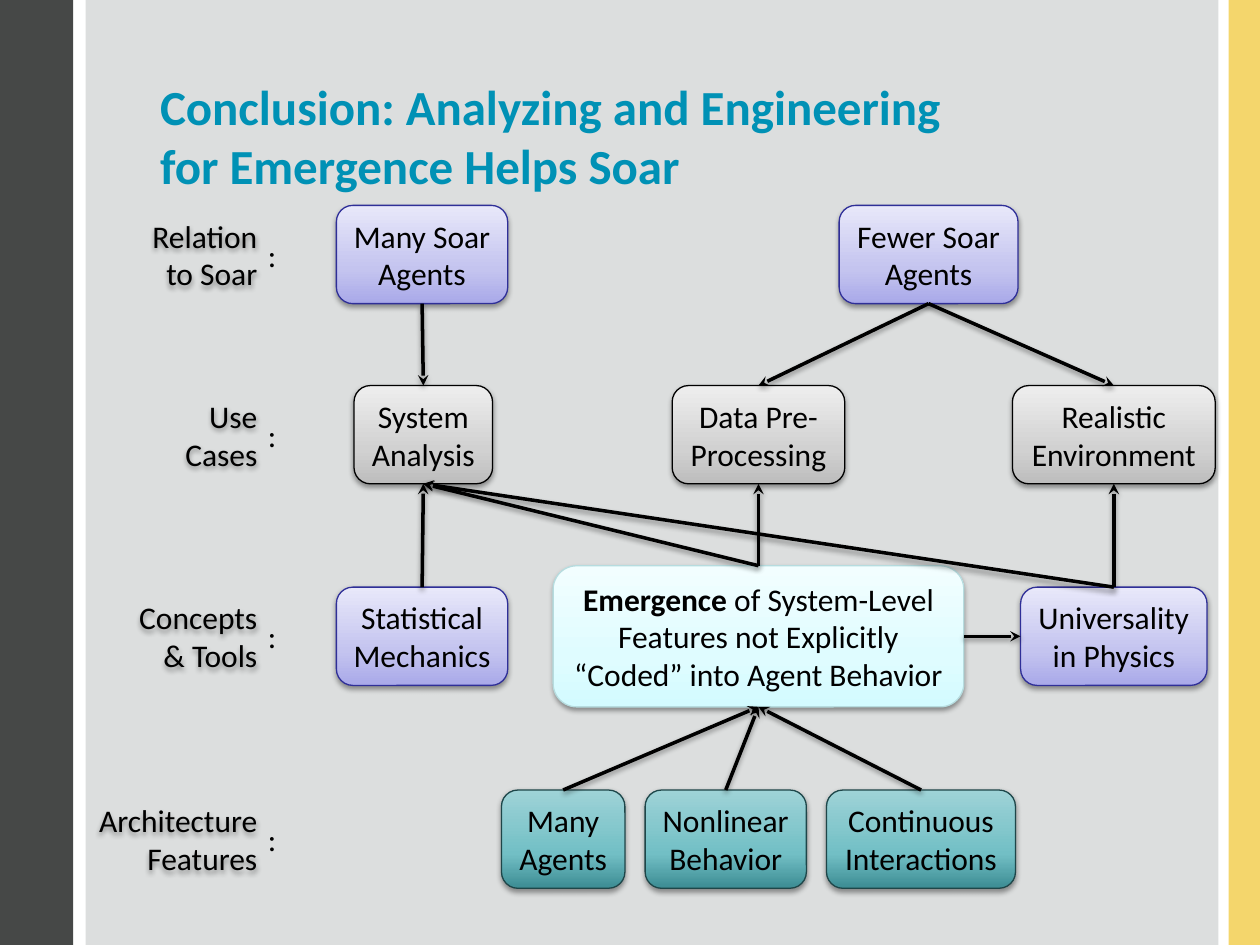
from dataclasses import dataclass

from lxml.etree import SubElement
from pptx import Presentation
from pptx.dml.color import RGBColor
from pptx.enum.shapes import MSO_CONNECTOR, MSO_SHAPE
from pptx.enum.text import MSO_ANCHOR, MSO_AUTO_SIZE, PP_ALIGN
from pptx.oxml import parse_xml
from pptx.oxml.ns import nsdecls, qn
from pptx.util import Inches, Pt

TOP, LEFT, BOTTOM, RIGHT = range(4)


@dataclass(frozen=True)
class Style:
    stops: tuple[str, str, str]  # bottom, 35 %, top
    outline: str


@dataclass(frozen=True)
class Theme:
    font: str = "Calibri"
    title_size: int = 28
    body_size: int = 18
    title: str = "0091B5"
    ink: str = "000000"
    dark_band: str = "464847"
    gold_band: str = "F4D66C"
    panel: str = "DCDEDE"
    violet: Style = Style(("A9A9E9", "C4C4EF", "E8E8FA"), "2F2F98")
    grey: Style = Style(("BDBDBD", "D1D1D1", "EEEEEE"), "000000")
    teal: Style = Style(("3C8C93", "72BFC5", "9ED3D7"), "1E4649")
    ice: Style = Style(("D3FBFF", "DFFCFF", "F2FEFF"), "B6DCDF")


THEME = Theme()


@dataclass(frozen=True)
class Row:
    label: str
    middle: float
    label_width: float


@dataclass(frozen=True)
class Node:
    text: str
    row: Row
    center: float
    width: float
    style: Style
    height: float = 0.78
    bold_lead: str = ""


@dataclass(frozen=True)
class Arrow:
    start: str
    start_side: int
    end: str
    end_side: int


RELATION = Row("Relation\nto Soar", 2.02, 1.13)
USES = Row("Use\nCases", 3.45, 0.85)
CONCEPTS = Row("Concepts\n& Tools", 5.05, 1.23)
FEATURES = Row("Architecture\nFeatures", 6.66, 1.55)
ROWS = (RELATION, USES, CONCEPTS, FEATURES)

NODES = {
    "many soar": Node("Many Soar\nAgents", RELATION, 3.35, 1.36, THEME.violet),
    "fewer soar": Node("Fewer Soar\nAgents", RELATION, 7.37, 1.42, THEME.violet),
    "analysis": Node("System\nAnalysis", USES, 3.36, 1.1, THEME.grey),
    "data": Node("Data Pre-\nProcessing", USES, 6.02, 1.37, THEME.grey),
    "realistic": Node("Realistic\nEnvironment", USES, 8.84, 1.61, THEME.grey),
    "statistics": Node("Statistical\nMechanics", CONCEPTS, 3.35, 1.36, THEME.violet),
    "emergence": Node(
        " of System-Level\nFeatures not Explicitly\n“Coded” into Agent Behavior",
        CONCEPTS, 6.02, 3.26, THEME.ice, 1.12, "Emergence"),
    "universality": Node("Universality\nin Physics", CONCEPTS, 8.84, 1.48, THEME.violet),
    "many": Node("Many\nAgents", FEATURES, 4.47, 0.98, THEME.teal),
    "nonlinear": Node("Nonlinear\nBehavior", FEATURES, 5.76, 1.28, THEME.teal),
    "continuous": Node("Continuous\nInteractions", FEATURES, 7.31, 1.5, THEME.teal),
}

ARROWS = (
    Arrow("many", TOP, "emergence", BOTTOM),
    Arrow("nonlinear", TOP, "emergence", BOTTOM),
    Arrow("continuous", TOP, "emergence", BOTTOM),
    Arrow("statistics", TOP, "analysis", BOTTOM),
    Arrow("emergence", TOP, "analysis", BOTTOM),
    Arrow("universality", TOP, "analysis", BOTTOM),
    Arrow("emergence", RIGHT, "universality", LEFT),
    Arrow("emergence", TOP, "data", BOTTOM),
    Arrow("universality", TOP, "realistic", BOTTOM),
    Arrow("many soar", BOTTOM, "analysis", TOP),
    Arrow("fewer soar", BOTTOM, "realistic", TOP),
    Arrow("fewer soar", BOTTOM, "data", TOP),
)


def color(value: str) -> RGBColor:
    return RGBColor.from_string(value)


def add_shadow(properties) -> None:
    """Append a soft downward shadow to a shape's or connector's spPr."""
    properties.append(parse_xml(
        f'<a:effectLst {nsdecls("a")}><a:outerShdw blurRad="{Pt(3.1)}" dist="{Pt(1.6)}" '
        'dir="5400000" rotWithShape="0"><a:srgbClr val="000000"><a:alpha val="38000"/>'
        '</a:srgbClr></a:outerShdw></a:effectLst>'))


def fill_gradient(shape, style: Style) -> None:
    stops = "".join(
        f'<a:gs pos="{position}"><a:srgbClr val="{value}"/></a:gs>'
        for position, value in zip((0, 35000, 100000), style.stops))
    shape._element.spPr.append(parse_xml(
        f'<a:gradFill rotWithShape="1" {nsdecls("a")}><a:gsLst>{stops}</a:gsLst>'
        '<a:lin ang="16200000" scaled="0"/></a:gradFill>'))


def add_text(para, text: str, size: int, ink: str, bold: bool = False) -> None:
    for index, line in enumerate(text.split("\n")):
        if index:
            para.add_line_break()
        span = para.add_run()
        span.text = line
        span.font.name = THEME.font
        span.font.size = Pt(size)
        span.font.bold = bold
        span.font.color.rgb = color(ink)


def add_rounded_box(shapes, left: float, middle: float, width: float, height: float,
                    text: str, align: PP_ALIGN, style: Style | None = None,
                    bold_lead: str = "", shadow: bool = True):
    box = shapes.add_shape(MSO_SHAPE.ROUNDED_RECTANGLE, Inches(left),
                           Inches(middle - height / 2), Inches(width), Inches(height))
    if style:
        fill_gradient(box, style)
        box.line.color.rgb = color(style.outline)
        box.line.width = Pt(0.75)
    else:
        box.fill.background()
        box.line.fill.background()
    if shadow:
        add_shadow(box._element.spPr)
    else:
        box.shadow.inherit = False
    frame = box.text_frame
    frame.word_wrap = False
    frame.auto_size = MSO_AUTO_SIZE.SHAPE_TO_FIT_TEXT
    para = frame.paragraphs[0]
    para.alignment = align
    if bold_lead:
        add_text(para, bold_lead, THEME.body_size, THEME.ink, bold=True)
    add_text(para, text, THEME.body_size, THEME.ink)
    return box


def add_row_label(page, row: Row) -> None:
    group = page.shapes.add_group_shape()
    add_rounded_box(group.shapes, 2.18 - row.label_width, row.middle, row.label_width,
                    0.78, row.label, PP_ALIGN.RIGHT)
    add_rounded_box(group.shapes, 2.01, row.middle, 0.3, 0.43, ":",
                    PP_ALIGN.CENTER, shadow=False)


def add_arrow(page, arrow: Arrow, boxes: dict) -> None:
    line = page.shapes.add_connector(MSO_CONNECTOR.STRAIGHT, 0, 0, 0, 0)
    line.begin_connect(boxes[arrow.start], arrow.start_side)
    line.end_connect(boxes[arrow.end], arrow.end_side)
    line.line.color.rgb = color(THEME.ink)
    line.line.width = Pt(2)
    SubElement(line.line._get_or_add_ln(), qn("a:tailEnd"), type="stealth")
    add_shadow(line._element.spPr)


def add_band(page, left: float, width: float, fill: str) -> None:
    band = page.shapes.add_shape(MSO_SHAPE.RECTANGLE, Inches(left), 0,
                                 Inches(width), Inches(7.5))
    band.shadow.inherit = False
    band.fill.solid()
    band.fill.fore_color.rgb = color(fill)
    band.line.fill.background()


def place_title(page, text: str) -> None:
    title = page.shapes.title
    page.shapes._spTree.append(title._element)  # in front of the bands
    title.left, title.top = Inches(1.17), Inches(0.92)
    title.width, title.height = Inches(8.08), Inches(0.67)
    frame = title.text_frame
    frame.word_wrap = True
    frame.auto_size = MSO_AUTO_SIZE.NONE
    frame.vertical_anchor = MSO_ANCHOR.BOTTOM
    para = frame.paragraphs[0]
    para.alignment = PP_ALIGN.LEFT
    add_text(para, text, THEME.title_size, THEME.title, bold=True)


def main() -> None:
    deck = Presentation()
    deck.slide_width, deck.slide_height = Inches(10), Inches(7.5)
    page = deck.slides.add_slide(deck.slide_layouts.get_by_name("Title Only"))
    add_band(page, 0, 0.58, THEME.dark_band)
    add_band(page, 9.75, 0.25, THEME.gold_band)
    add_band(page, 0.68, 8.99, THEME.panel)
    place_title(page, "Conclusion: Analyzing and Engineering\nfor Emergence Helps Soar")
    for row in ROWS:
        add_row_label(page, row)
    boxes = {
        name: add_rounded_box(page.shapes, node.center - node.width / 2, node.row.middle,
                              node.width, node.height, node.text, PP_ALIGN.CENTER,
                              node.style, node.bold_lead)
        for name, node in NODES.items()
    }
    for arrow in ARROWS:
        add_arrow(page, arrow, boxes)
    deck.save("out.pptx")


if __name__ == "__main__":
    main()
